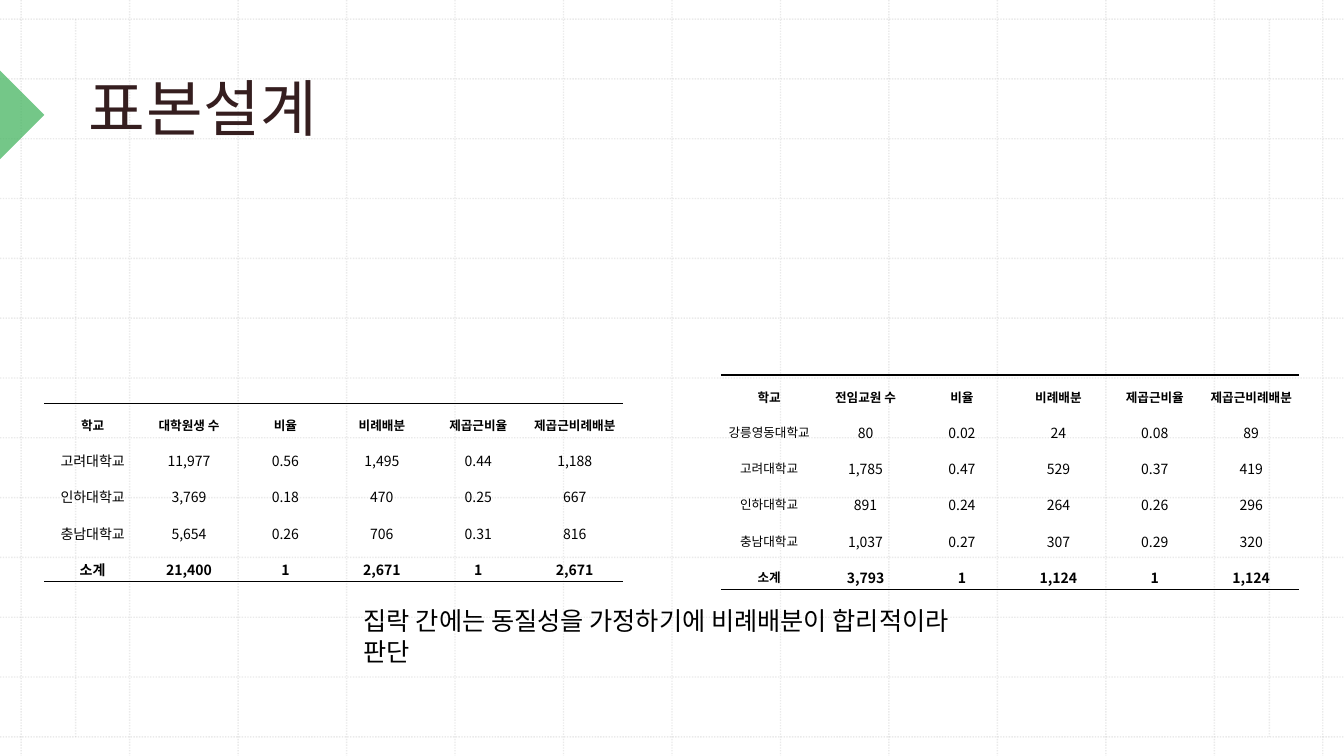
"""Build the sample design slide with its two allocation tables."""
from dataclasses import dataclass

from lxml.etree import SubElement
from pptx import Presentation
from pptx.dml.color import RGBColor
from pptx.enum.dml import MSO_LINE
from pptx.enum.shapes import MSO_CONNECTOR, MSO_SHAPE
from pptx.enum.text import MSO_ANCHOR, PP_ALIGN
from pptx.oxml import parse_xml
from pptx.oxml.ns import nsdecls, qn
from pptx.util import Inches, Pt

WIDTH, HEIGHT = 13.33, 7.5
FONT = "Noto Sans CJK KR"
BLACK, BROWN, GREEN, GRAY = "000000", "351E1F", "47B662", "BCBCBC"
GRID_LEFT, GRID_TOP = 0.21, 0.19
GRID_STEPS = 12
COLUMN = (WIDTH - 2 * GRID_LEFT) / GRID_STEPS
ROW = (HEIGHT - 2 * GRID_TOP) / GRID_STEPS
MARGIN_LINES = (0.75, 12.59)
TABLE_WIDTH = 5.74
HEADER_HEIGHT, BODY_HEIGHT = 0.33, 0.36
NO_STYLE = "{2D5ABB26-0587-4C30-8999-92F81FD0307C}"


@dataclass
class Allocation:
    left: float
    top: float
    label_size: int
    counted: str
    rows: list[tuple[str, ...]]

    def header(self) -> tuple[str, ...]:
        return ("학교", self.counted, "비율", "비례배분", "제곱근비율", "제곱근비례배분")


@dataclass
class Caption:
    left: float
    top: float
    width: float
    height: float
    text: str
    size: int
    color: str


ALLOCATIONS = [
    Allocation(0.44, 4.0, 10, "대학원생 수", [
        ("고려대학교", "11,977", "0.56", "1,495", "0.44", "1,188"),
        ("인하대학교", "3,769", "0.18", "470", "0.25", "667"),
        ("충남대학교", "5,654", "0.26", "706", "0.31", "816"),
        ("소계", "21,400", "1", "2,671", "1", "2,671"),
    ]),
    Allocation(7.15, 3.72, 9, "전임교원 수", [
        ("강릉영동대학교", "80", "0.02", "24", "0.08", "89"),
        ("고려대학교", "1,785", "0.47", "529", "0.37", "419"),
        ("인하대학교", "891", "0.24", "264", "0.26", "296"),
        ("충남대학교", "1,037", "0.27", "307", "0.29", "320"),
        ("소계", "3,793", "1", "1,124", "1", "1,124"),
    ]),
]
TITLE = Caption(0.76, 0, 11.48, 1.53, "표본설계", 44, BROWN)
CONCLUSION = Caption(3.51, 5.96, 6.31, 0.4,
                     "집락 간에는 동질성을 가정하기에 비례배분이 합리적이라 판단", 18, BLACK)


def rgb(color: str) -> RGBColor:
    return RGBColor.from_string(color)


def set_opacity(shape, percent: int) -> None:
    for color in shape._element.spPr.iter(qn("a:srgbClr")):
        SubElement(color, qn("a:alpha"), val=str(percent * 1000))


def set_font(para, size: int, color: str, bold: bool = False) -> None:
    font = para.font
    font.name, font.size, font.bold = FONT, Pt(size), bold
    font.color.rgb = rgb(color)
    SubElement(font._element, qn("a:ea"), typeface=FONT)


def set_insets(frame, left: float, top: float, right: float, bottom: float) -> None:
    frame.margin_left, frame.margin_top = Inches(left), Inches(top)
    frame.margin_right, frame.margin_bottom = Inches(right), Inches(bottom)


def draw_grid_line(page, x1: float, y1: float, x2: float, y2: float) -> None:
    line = page.shapes.add_connector(
        MSO_CONNECTOR.STRAIGHT, Inches(x1), Inches(y1), Inches(x2), Inches(y2))
    line.line.color.rgb = rgb(GRAY)
    line.line.width = Pt(1)
    line.line.dash_style = MSO_LINE.ROUND_DOT
    set_opacity(line, 30)
    SubElement(line._element.spPr, qn("a:effectLst"))


def draw_grid(page) -> None:
    for step in range(GRID_STEPS + 1):
        x, y = GRID_LEFT + step * COLUMN, GRID_TOP + step * ROW
        draw_grid_line(page, x, 0, x, HEIGHT)
        draw_grid_line(page, 0, y, WIDTH, y)
    for x in MARGIN_LINES:
        draw_grid_line(page, x, GRID_TOP, x, HEIGHT - GRID_TOP)


def draw_marker(page) -> None:
    marker = page.shapes.add_shape(
        MSO_SHAPE.RIGHT_TRIANGLE, Inches(-0.31), Inches(0.83), Inches(0.62), Inches(0.62))
    marker.rotation = 225
    marker.shadow.inherit = False
    marker.fill.solid()
    marker.fill.fore_color.rgb = rgb(GREEN)
    marker.line.fill.background()
    set_opacity(marker, 50)


def draw_caption(page, caption: Caption):
    box = page.shapes.add_textbox(Inches(caption.left), Inches(caption.top),
                                  Inches(caption.width), Inches(caption.height))
    frame = box.text_frame
    frame.word_wrap = True
    para = frame.paragraphs[0]
    para.text = caption.text
    set_font(para, caption.size, caption.color)
    return frame


def draw_title(page) -> None:
    frame = draw_caption(page, TITLE)
    frame.vertical_anchor = MSO_ANCHOR.BOTTOM
    set_insets(frame, 0.12, 0.12, 0.12, 0.1)
    para = frame.paragraphs[0]
    para.line_spacing = 1.14
    para.font._element.set("spc", "50")


def draw_border(cell, side: str) -> None:
    border = parse_xml(
        f'<a:{side} {nsdecls("a")} w="{Pt(1)}"><a:solidFill>'
        f'<a:srgbClr val="{BLACK}"/></a:solidFill></a:{side}>')
    cell._tc.get_or_add_tcPr().insert(0, border)


def fill_cell(cell, text: str, size: int, bold: bool) -> None:
    cell.fill.background()
    cell.vertical_anchor = MSO_ANCHOR.MIDDLE
    set_insets(cell, 0.07, 0.02, 0.07, 0.02)
    para = cell.text_frame.paragraphs[0]
    para.text = text
    para.alignment = PP_ALIGN.CENTER
    para.line_spacing = 1.6
    set_font(para, size, BLACK, bold)


def draw_allocation(page, allocation: Allocation) -> None:
    rows = [allocation.header(), *allocation.rows]
    last = len(rows) - 1
    columns = len(rows[0])
    frame = page.shapes.add_table(
        len(rows), columns, Inches(allocation.left), Inches(allocation.top),
        Inches(TABLE_WIDTH), Inches(HEADER_HEIGHT + last * BODY_HEIGHT))
    table = frame.table
    table.first_row = table.horz_banding = False
    for style in frame._element.iter(qn("a:tableStyleId")):
        style.text = NO_STYLE
    for column in table.columns:
        column.width = Inches(TABLE_WIDTH / columns)
    for row, values in enumerate(rows):
        table.rows[row].height = Inches(BODY_HEIGHT if row else HEADER_HEIGHT)
        for column, value in enumerate(values):
            cell = table.cell(row, column)
            body_size = 10 if column else allocation.label_size
            fill_cell(cell, value, body_size if row else 9, row in (0, last))
            if row in (0, last):
                draw_border(cell, "lnB" if row else "lnT")


def main() -> None:
    deck = Presentation()
    deck.slide_width, deck.slide_height = Inches(WIDTH), Inches(HEIGHT)
    page = deck.slides.add_slide(deck.slide_layouts[6])
    draw_grid(page)
    for _ in range(2):
        draw_marker(page)
    draw_title(page)
    for allocation in ALLOCATIONS:
        draw_allocation(page, allocation)
    draw_caption(page, CONCLUSION)
    deck.save("out.pptx")


if __name__ == "__main__":
    main()
